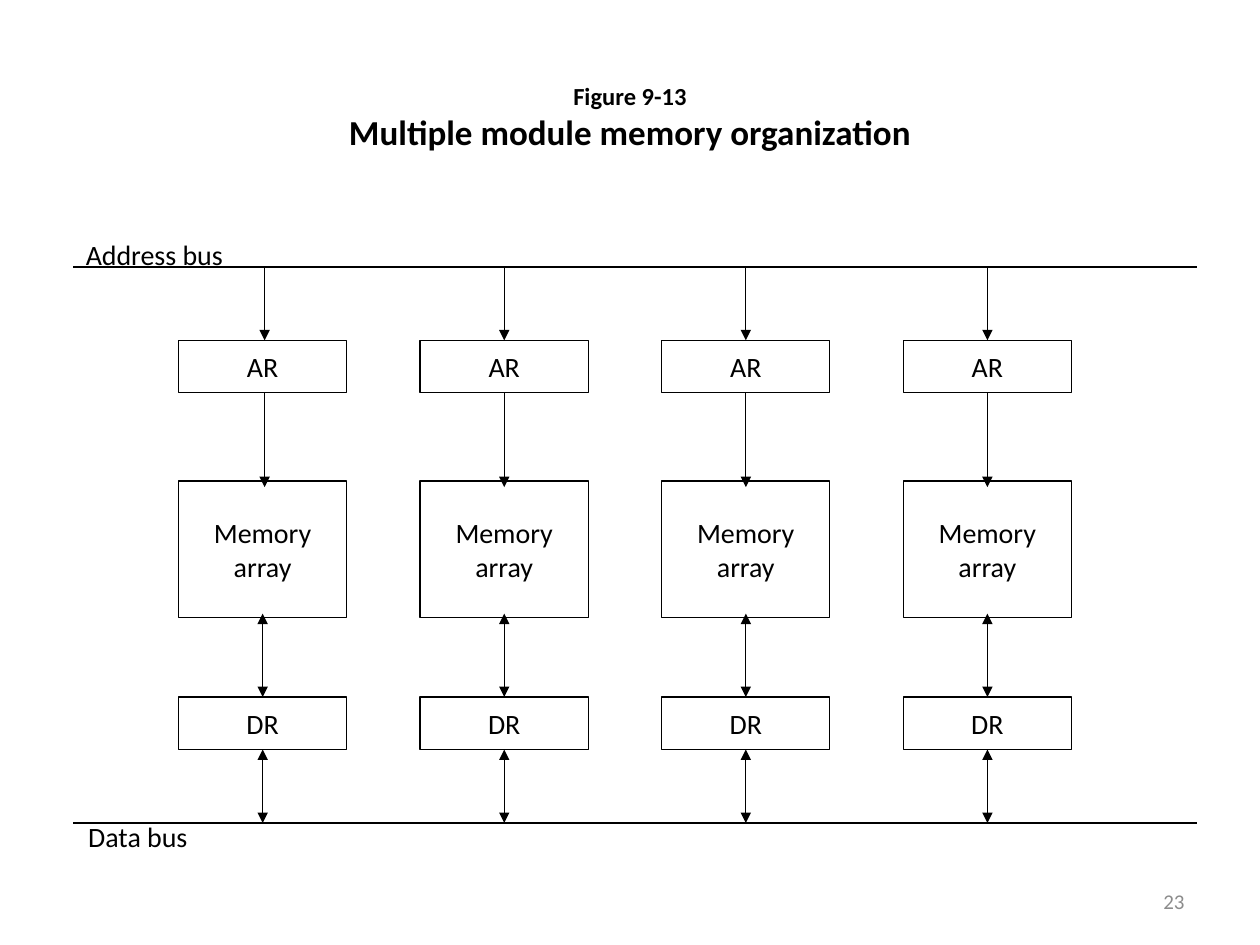
"""Draw the multiple module memory organization figure."""
from dataclasses import dataclass

from lxml import etree
from pptx import Presentation
from pptx.dml.color import RGBColor
from pptx.enum import shapes, text
from pptx.oxml import ns
from pptx.util import Cm, Pt


@dataclass(frozen=True)
class Theme:
    font: str = "Calibri"
    ink: str = "000000"
    paper: str = "FFFFFF"
    grey: str = "8C8C8C"
    small: int = 12
    figure: int = 14
    body: int = 16
    title: int = 20
    line: float = 0.75


@dataclass(frozen=True)
class Block:
    lines: tuple[str, ...]
    top: float
    high: float


@dataclass(frozen=True)
class Wire:
    start: float
    end: float
    shift: float = 0


@dataclass(frozen=True)
class Label:
    words: str
    left: float
    top: float
    wide: float
    high: float
    size: int
    color: str
    align: text.PP_ALIGN = text.PP_ALIGN.LEFT
    anchor: text.MSO_ANCHOR = text.MSO_ANCHOR.TOP


LOOK = Theme()
LEFT, PITCH, WIDE, COUNT = 3.6, 4.87, 3.39, 4
BUS_X = (1.48, 24.13)
ADDRESS, DATA = 5.38, 16.59
SKEW = 0.04

BLOCKS = (
    Block(("AR",), 6.86, 1.06),
    Block(("Memory", "array"), 9.7, 2.75),
    Block(("DR",), 14.05, 1.06),
)
WIRES = (
    Wire(ADDRESS, 6.86, SKEW),
    Wire(7.92, 9.82, SKEW),
    Wire(13.21, 14.05),
    Wire(13.21, 12.37),
    Wire(15.95, DATA),
    Wire(15.95, 15.11),
)
LABELS = (
    Label("Address bus", 1.48, 4.66, 5.29, 0.94, LOOK.body, LOOK.ink),
    Label("Data bus", 1.53, 16.39, 5.29, 0.94, LOOK.body, LOOK.ink),
    Label("23", 18.2, 17.66, 5.93, 1.01, LOOK.small, LOOK.grey,
          text.PP_ALIGN.RIGHT, text.MSO_ANCHOR.MIDDLE),
)


def add_run(para, words: str, size: int, color: str = LOOK.ink, bold: bool = False) -> None:
    """Add one styled run to a paragraph."""
    run = para.add_run()
    run.text = words
    font = run.font
    font.name, font.size, font.bold = LOOK.font, Pt(size), bold
    font.color.rgb = RGBColor.from_string(color)


def add_box(slide, left: float, block: Block) -> None:
    """Draw a framed block with centred lines."""
    box = slide.shapes.add_shape(
        shapes.MSO_SHAPE.RECTANGLE, Cm(left), Cm(block.top), Cm(WIDE), Cm(block.high))
    box.shadow.inherit = False
    box.fill.solid()
    box.fill.fore_color.rgb = RGBColor.from_string(LOOK.paper)
    box.line.color.rgb = RGBColor.from_string(LOOK.ink)
    box.line.width = Pt(LOOK.line)
    frame = box.text_frame
    frame.word_wrap = False
    frame.vertical_anchor = text.MSO_ANCHOR.MIDDLE
    for i, words in enumerate(block.lines):
        para = frame.add_paragraph() if i else frame.paragraphs[0]
        para.alignment = text.PP_ALIGN.CENTER
        add_run(para, words, LOOK.body)


def add_line(slide, x1: float, y1: float, x2: float, y2: float, arrow: bool = False) -> None:
    """Draw a straight line, with an arrowhead at its end if asked."""
    line = slide.shapes.add_connector(
        shapes.MSO_CONNECTOR.STRAIGHT, Cm(x1), Cm(y1), Cm(x2), Cm(y2))
    line.line.color.rgb = RGBColor.from_string(LOOK.ink)
    line.line.width = Pt(LOOK.line)
    if arrow:
        etree.SubElement(line.line._get_or_add_ln(), ns.qn("a:tailEnd"), type="triangle")
    etree.SubElement(line._element.spPr, ns.qn("a:effectLst"))


def add_text(slide, left: float, top: float, wide: float, high: float,
             align: text.PP_ALIGN, anchor: text.MSO_ANCHOR):
    """Add a wrapping text box and return its first paragraph."""
    frame = slide.shapes.add_textbox(Cm(left), Cm(top), Cm(wide), Cm(high)).text_frame
    frame.word_wrap = True
    frame.vertical_anchor = anchor
    para = frame.paragraphs[0]
    para.alignment = align
    return para


def add_label(slide, label: Label) -> None:
    """Write a label of a single run."""
    para = add_text(slide, label.left, label.top, label.wide, label.high,
                    label.align, label.anchor)
    add_run(para, label.words, label.size, label.color)


def add_title(slide) -> None:
    """Write the figure number above the title."""
    para = add_text(slide, 1.27, 0.76, 22.86, 3.18,
                    text.PP_ALIGN.CENTER, text.MSO_ANCHOR.MIDDLE)
    add_run(para, "Figure 9-13", LOOK.figure, bold=True)
    para.add_line_break()
    add_run(para, "Multiple module memory organization", LOOK.title, bold=True)


def add_module(slide, index: int) -> None:
    """Draw one memory module with its registers and wires."""
    left = LEFT + index * PITCH
    for block in BLOCKS:
        add_box(slide, left, block)
    for wire in WIRES:
        x = left + WIDE / 2 + (0 if index else wire.shift)
        add_line(slide, x, wire.start, x, wire.end, arrow=True)


def main() -> None:
    """Build and save the slide."""
    deck = Presentation()
    deck.slide_width, deck.slide_height = Cm(25.4), Cm(19.05)
    slide = deck.slides.add_slide(deck.slide_layouts[6])
    add_title(slide)
    for y in (ADDRESS, DATA):
        add_line(slide, BUS_X[0], y, BUS_X[1], y)
    for index in range(COUNT):
        add_module(slide, index)
    for label in LABELS:
        add_label(slide, label)
    deck.save("out.pptx")


if __name__ == "__main__":
    main()
